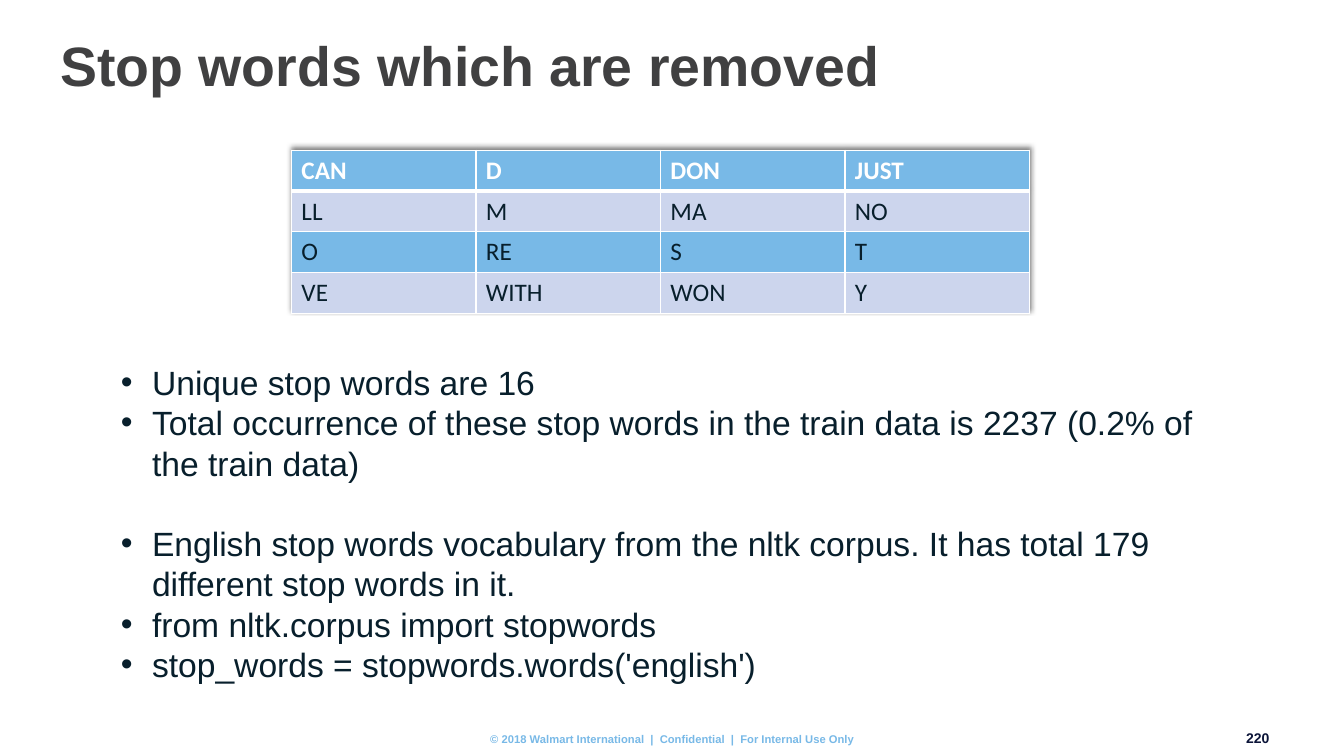
from dataclasses import dataclass

from lxml import etree
from pptx import Presentation
from pptx.dml.color import RGBColor
from pptx.enum.shapes import MSO_SHAPE
from pptx.enum.text import MSO_ANCHOR, PP_ALIGN
from pptx.oxml.ns import qn
from pptx.util import Emu, Inches, Pt

LEFT, CENTER, RIGHT = PP_ALIGN.LEFT, PP_ALIGN.CENTER, PP_ALIGN.RIGHT
TOP, MIDDLE = MSO_ANCHOR.TOP, MSO_ANCHOR.MIDDLE
RECTANGLE = MSO_SHAPE.RECTANGLE


@dataclass(frozen=True)
class Theme:
    font: str = "Arial"
    table_font: str = "Calibri"
    white: str = "FFFFFF"
    sky: str = "78B9E7"
    lavender: str = "CCD5ED"
    ink: str = "081F2C"
    navy: str = "0B1438"
    charcoal: str = "404041"
    title_size: float = 39.6
    body_size: float = 24
    table_size: float = 18
    number_size: float = 10
    footer_size: float = 8


THEME = Theme()
WIDTH, HEIGHT = 13.33, 7.5
TITLE = "Stop words which are removed"
STOP_WORDS = ["CAN D DON JUST", "LL M MA NO", "O RE S T", "VE WITH WON Y"]
BULLET_GROUPS = [
    ["Unique stop words are 16",
     "Total occurrence of these stop words in the train data is 2237 "
     "(0.2% of the train data)"],
    ["English stop words vocabulary from the nltk corpus. "
     "It has total 179 different stop words in it.",
     "from nltk.corpus import stopwords",
     "stop_words = stopwords.words('english')"],
]
FOOTER = "© 2018 Walmart International  |  Confidential  |  For Internal Use Only"
PAGE_NUMBER = "220"


def inches(box):
    return [Inches(v) for v in box]


def set_font(p, name, size, color, bold=False):
    p.font.name, p.font.size, p.font.bold = name, Pt(size), bold
    p.font.color.rgb = RGBColor.from_string(color)


def add_frame(s, box, inset=None, anchor=TOP):
    tf = s.shapes.add_textbox(*inches(box)).text_frame
    tf.word_wrap, tf.vertical_anchor = True, anchor
    if inset is not None:
        tf.margin_left = tf.margin_top = Inches(inset)
        tf.margin_right = tf.margin_bottom = Inches(inset)
    return tf


def add_title(s, box):
    p = add_frame(s, box, anchor=MIDDLE).paragraphs[0]
    p.text, p.line_spacing = TITLE, 0.9
    set_font(p, THEME.font, THEME.title_size, THEME.charcoal, bold=True)


def add_small_print(s, box, text, size, color, align):
    p = add_frame(s, box, inset=0).paragraphs[0]
    p.text, p.alignment = text, align
    set_font(p, THEME.font, size, color, bold=True)


def add_borders(cell, header):
    tc_pr = cell._tc.get_or_add_tcPr()
    for i, side in enumerate(("lnL", "lnR", "lnT", "lnB")):
        width = 3 if header and side == "lnB" else 1
        ln = etree.Element(qn(f"a:{side}"), w=str(Pt(width)))
        fill = etree.SubElement(ln, qn("a:solidFill"))
        etree.SubElement(fill, qn("a:srgbClr"), val=THEME.white)
        tc_pr.insert(i, ln)


def add_table_shadow(table):
    effects = etree.Element(qn("a:effectLst"))
    shadow = etree.SubElement(effects, qn("a:outerShdw"), blurRad=str(Pt(3)),
                              dist=str(Pt(2)), dir="16200000", rotWithShape="0")
    color = etree.SubElement(shadow, qn("a:srgbClr"), val="000000")
    etree.SubElement(color, qn("a:alpha"), val="50000")
    table._tbl.tblPr.insert(0, effects)


def add_word_table(s, box):
    rows = [line.split() for line in STOP_WORDS]
    table = s.shapes.add_table(len(rows), len(rows[0]), *inches(box)).table
    add_table_shadow(table)
    for r, words in enumerate(rows):
        header = r == 0
        for c, word in enumerate(words):
            cell = table.cell(r, c)
            cell.fill.solid()
            cell.fill.fore_color.rgb = RGBColor.from_string(
                THEME.lavender if r % 2 else THEME.sky)
            add_borders(cell, header)
            p = cell.text_frame.paragraphs[0]
            p.text = word
            set_font(p, THEME.table_font, THEME.table_size,
                     THEME.white if header else THEME.ink, bold=header)


def add_bullet(p, indent):
    p_pr = p._p.get_or_add_pPr()
    p_pr.set("marL", str(indent))
    p_pr.set("indent", str(Emu(-indent)))
    etree.SubElement(p_pr, qn("a:buFont"), typeface=THEME.font)
    etree.SubElement(p_pr, qn("a:buChar"), char="•")


def add_bullets(s, box):
    sp = s.shapes.add_shape(RECTANGLE, *inches(box))
    sp.shadow.inherit = False
    sp.fill.solid()
    sp.fill.fore_color.rgb = RGBColor.from_string(THEME.white)
    sp.line.fill.background()
    tf = sp.text_frame
    tf.word_wrap, tf.vertical_anchor = True, TOP
    p = None
    for group in BULLET_GROUPS:
        for i, text in enumerate(group):
            opens_later_group = p is not None and i == 0
            p = tf.paragraphs[0] if p is None else tf.add_paragraph()
            p.text, p.alignment = text, LEFT
            add_bullet(p, Inches(0.31))
            if opens_later_group:
                p.space_before = Pt(1.2 * THEME.body_size)
            set_font(p, THEME.font, THEME.body_size, THEME.ink)


def main():
    prs = Presentation()
    prs.slide_width, prs.slide_height = Inches(WIDTH), Inches(HEIGHT)
    s = prs.slides.add_slide(prs.slide_layouts[6])
    add_small_print(s, (12.29, 7.24, 0.3, 0.17), PAGE_NUMBER,
                    THEME.number_size, THEME.navy, RIGHT)
    add_small_print(s, (4.55, 7.27, 4.24, 0.13), FOOTER,
                    THEME.footer_size, THEME.sky, CENTER)
    add_title(s, (0.5, 0.3, 11.5, 0.76))
    add_word_table(s, (2.89, 1.49, 7.32, 1.62))
    add_bullets(s, (1.1, 3.54, 10.9, 3.33))
    prs.save("out.pptx")


if __name__ == "__main__":
    main()
